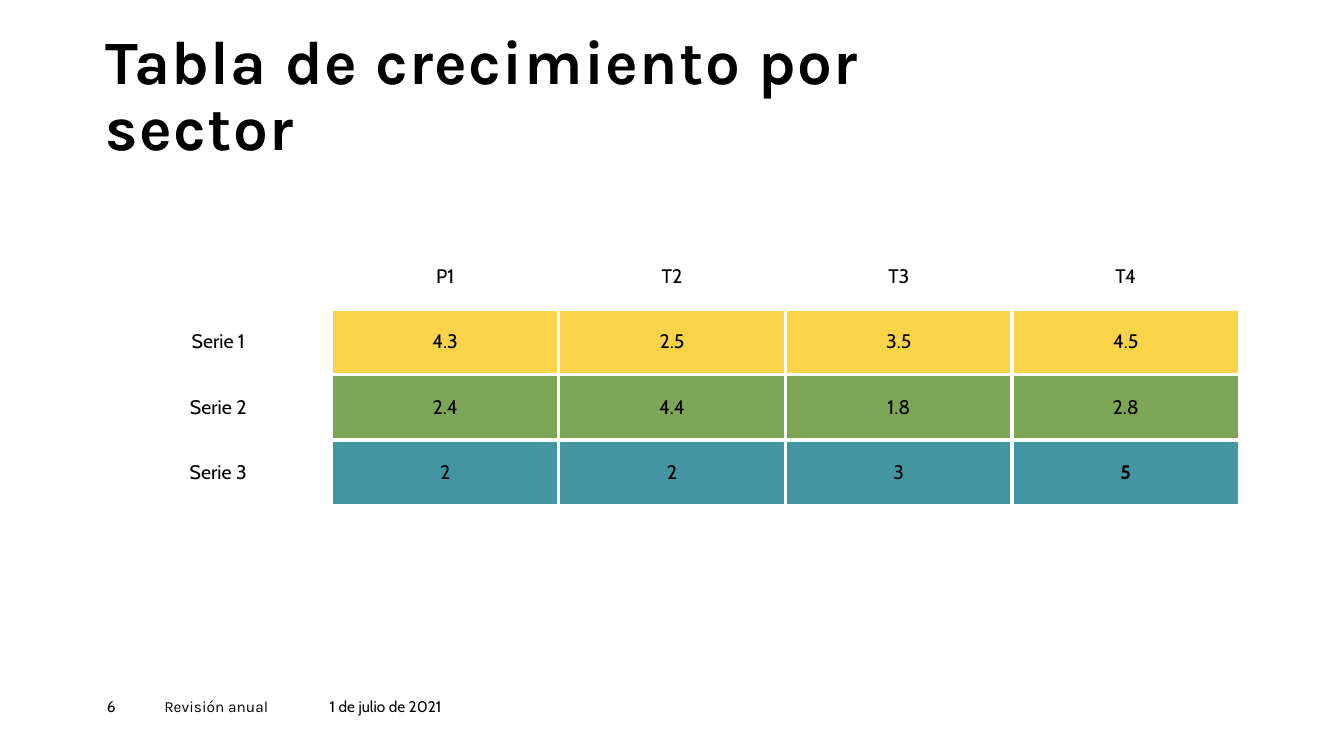
from dataclasses import dataclass

from pptx import Presentation
from pptx.dml.color import RGBColor as RGB
from pptx.enum.text import MSO_ANCHOR as ANCHOR, MSO_AUTO_SIZE as FIT, PP_ALIGN as ALIGN
from pptx.oxml.ns import qn
from pptx.util import Inches, Pt
from lxml.etree import SubElement

TITLE = "Tabla de crecimiento por sector"
ROWS = [
    ["", "P1", "T2", "T3", "T4"],
    ["Serie 1", "4.3", "2.5", "3.5", "4.5"],
    ["Serie 2", "2.4", "4.4", "1.8", "2.8"],
    ["Serie 3", "2", "2", "3", "5"],
]
BOLD_CELL = (3, 4)
FOOTER = [
    ("6", "Cabin", 1.06, 0.57),
    ("Revisión anual", "Karla", 1.63, 1.64),
    ("1 de julio de 2021", "Cabin", 3.27, 1.88),
]


@dataclass(frozen=True)
class Theme:
    """Fonts, type sizes, colours and border widths of the slide."""
    heading: str = "Karla"
    body: str = "Cabin"
    title_size: int = 44
    table_size: int = 14
    footer_size: int = 11
    ink: str = "000000"
    paper: str = "FFFFFF"
    series: tuple = ("F9D448", "7CA655", "4495A2")
    outer_line: float = 2.25
    inner_line: float = 3


THEME = Theme()


def style_text(p, font, size, bold=False):
    """Apply font, size, weight and ink to the runs of a paragraph."""
    for r in p.runs:
        r.font.name, r.font.size, r.font.bold = font, Pt(size), bold
        r.font.color.rgb = RGB.from_string(THEME.ink)


def clear_margins(tf):
    """Remove the inner margins of a text frame."""
    tf.margin_left = tf.margin_top = tf.margin_right = tf.margin_bottom = 0
    tf.word_wrap = True


def set_borders(cell, widths):
    """Draw the four cell borders, placed ahead of the fill."""
    tc_pr = cell._tc.get_or_add_tcPr()
    for i, (side, width) in enumerate(widths.items()):
        ln = SubElement(tc_pr, qn(f"a:ln{side}"), w=str(Pt(width)))
        SubElement(SubElement(ln, qn("a:solidFill")), qn("a:srgbClr"), val=THEME.paper)
        tc_pr.insert(i, ln)


def add_title(s):
    """Fill and place the title placeholder."""
    sp = s.shapes.title
    sp.left, sp.top, sp.width, sp.height = map(Inches, (1.05, 0.96, 9.48, 0.67))
    tf = sp.text_frame
    tf.text = TITLE
    clear_margins(tf)
    tf.auto_size, tf.vertical_anchor = FIT.NONE, ANCHOR.BOTTOM
    p = tf.paragraphs[0]
    p.alignment, p.line_spacing = ALIGN.LEFT, 0.9
    style_text(p, THEME.heading, THEME.title_size, True)
    p.runs[0].font._element.set("spc", "100")


def add_growth_table(s):
    """Build the table with one colour per series."""
    n_rows, n_cols = len(ROWS), len(ROWS[0])
    frame = s.shapes.add_table(n_rows, n_cols, *map(Inches, (1.04, 2.42, 11.25, 2.59)))
    table = frame.table
    table.first_row = table.horz_banding = False
    for i, row in enumerate(ROWS):
        for j, text in enumerate(row):
            cell = table.cell(i, j)
            cell.text = text
            cell.vertical_anchor = ANCHOR.MIDDLE
            p = cell.text_frame.paragraphs[0]
            p.alignment = ALIGN.CENTER
            style_text(p, THEME.body, THEME.table_size, (i, j) == BOLD_CELL)
            is_value = i > 0 and j > 0
            if is_value:
                cell.fill.solid()
                cell.fill.fore_color.rgb = RGB.from_string(THEME.series[i - 1])
            else:
                cell.fill.background()
            inner = {"L": j > 1, "R": j < n_cols - 1, "T": i > 1, "B": i < n_rows - 1}
            set_borders(cell, {side: THEME.inner_line if is_value and shared else THEME.outer_line
                               for side, shared in inner.items()})


def add_footer(s):
    """Add the page number, review name and date."""
    for text, font, left, width in FOOTER:
        tf = s.shapes.add_textbox(*map(Inches, (left, 6.92, width, 0.27))).text_frame
        tf.text = text
        clear_margins(tf)
        style_text(tf.paragraphs[0], font, THEME.footer_size)


def main():
    """Build and save the slide."""
    prs = Presentation()
    prs.slide_width, prs.slide_height = Inches(13.33), Inches(7.5)
    s = prs.slides.add_slide(prs.slide_layouts[5])
    add_title(s)
    add_growth_table(s)
    add_footer(s)
    prs.save("out.pptx")


if __name__ == "__main__":
    main()
